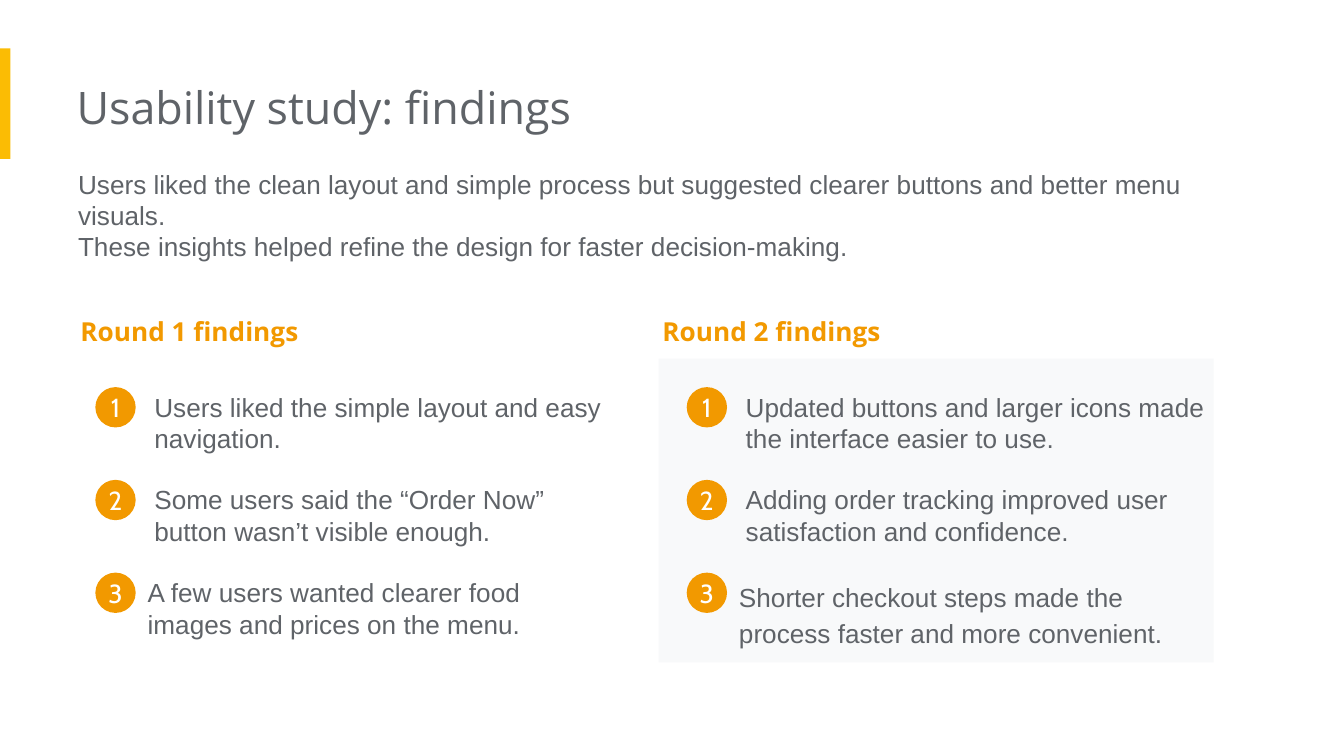
import pptx
import pptx.dml.color
import pptx.enum.shapes
import pptx.enum.text
import pptx.oxml.ns
import pptx.util

Pt = pptx.util.Pt
RGBColor = pptx.dml.color.RGBColor
Shape = pptx.enum.shapes.MSO_SHAPE
Align = pptx.enum.text.PP_ALIGN
Anchor = pptx.enum.text.MSO_ANCHOR

YELLOW = RGBColor(0xFB, 0xBC, 0x04)
ORANGE = RGBColor(0xF2, 0x99, 0x00)
GRAY = RGBColor(0x5F, 0x63, 0x68)
PALE = RGBColor(0xF8, 0xF9, 0xFA)
WHITE = RGBColor(0xFF, 0xFF, 0xFF)

INSET = 7.2
ITEM_STEP = 49.7
BADGE_SIZE = 21.6


def write_text(shape, text, font="Arial", size=14, color=GRAY, bold=False,
               align=Align.LEFT, anchor=Anchor.TOP, spacing=1.0,
               insets=(INSET, INSET, INSET, INSET)):
    frame = shape.text_frame
    frame.word_wrap = True
    frame.auto_size = pptx.enum.text.MSO_AUTO_SIZE.NONE
    frame.vertical_anchor = anchor
    frame.margin_left, frame.margin_top, frame.margin_right, frame.margin_bottom = map(Pt, insets)
    frame.text = text
    for para in frame.paragraphs:
        para.alignment = align
        para.line_spacing = spacing
        para.space_before = Pt(0)
        for span in para.runs:
            span.font.name = font
            span.font.size = Pt(size)
            span.font.bold = bold
            span.font.color.rgb = color


def add_text(page, box, text, **style):
    write_text(page.shapes.add_textbox(*map(Pt, box)), text, **style)


def add_filled(page, kind, box, color):
    shape = page.shapes.add_shape(kind, *map(Pt, box))
    shape.shadow.inherit = False
    shape.fill.solid()
    shape.fill.fore_color.rgb = color
    shape.line.fill.background()
    return shape


def place(shape, box):
    shape.left, shape.top, shape.width, shape.height = map(Pt, box)


def build_header(page, box, title, intro):
    left, top, width, height = box
    insets = (0, INSET, INSET, INSET)
    add_filled(page, Shape.RECTANGLE, (0, top - 9.3, 5.6, 59.2), YELLOW)
    heading = page.shapes.title
    place(heading, (left, top, 484.6, 43.9))
    write_text(heading, title, font="Open Sans", size=24, insets=insets)
    body = page.placeholders[1]
    place(body, (left + 0.8, top + 47.5, width, height - 47.5))
    write_text(body, "\n".join(intro), insets=insets)
    for para in body.text_frame.paragraphs:
        properties = para._p.get_or_add_pPr()
        properties.set("marL", "0")
        properties.set("indent", "0")
        properties.append(properties.makeelement(pptx.oxml.ns.qn("a:buNone"), {}))


def build_round(page, box, heading, findings, heading_shift=0, panel=None, last_spacing=1.0):
    left, top, width, height = box
    if panel:
        add_filled(page, Shape.RECTANGLE, box, panel)
    add_text(page, (left + heading_shift, top - 33.1, 262.8, 31.7), heading,
             font="Open Sans", color=ORANGE, bold=True, spacing=1.15)
    for index, finding in enumerate(findings):
        is_last = index == len(findings) - 1
        item_top = top + 10.1 + index * ITEM_STEP
        text_left = left + (36 if is_last else 39.6)
        add_text(page, (text_left, item_top, 262.8, 53), finding,
                 spacing=last_spacing if is_last else 1.0)
        badge = add_filled(page, Shape.OVAL,
                           (left + 15.1, item_top + 5.1, BADGE_SIZE, BADGE_SIZE), ORANGE)
        write_text(badge, str(index + 1), font="Cabin", color=WHITE,
                   align=Align.CENTER, anchor=Anchor.MIDDLE, insets=(0, 0, 0, 0))


def main():
    deck = pptx.Presentation()
    deck.slide_width, deck.slide_height = Pt(720), Pt(405)
    page = deck.slides.add_slide(deck.slide_layouts[1])
    build_header(page, (41, 35.3, 620, 132.5), "Usability study: findings", [
        "Users liked the clean layout and simple process but suggested clearer buttons "
        "and better menu visuals.",
        "These insights helped refine the design for faster decision-making.",
    ])
    build_round(page, (36, 192.2, 297.4, 162.7), "Round 1 findings", [
        "Users liked the simple layout and easy navigation.",
        "Some users said the “Order Now” button wasn’t visible enough.",
        "A few users wanted clearer food images and prices on the menu.",
    ])
    build_round(page, (352.8, 192.2, 297.4, 162.7), "Round 2 findings", [
        "Updated buttons and larger icons made the interface easier to use.",
        "Adding order tracking improved user satisfaction and confidence.",
        "Shorter checkout steps made the process faster and more convenient.",
    ], heading_shift=-5, panel=PALE, last_spacing=1.15)
    deck.save("out.pptx")


if __name__ == "__main__":
    main()
